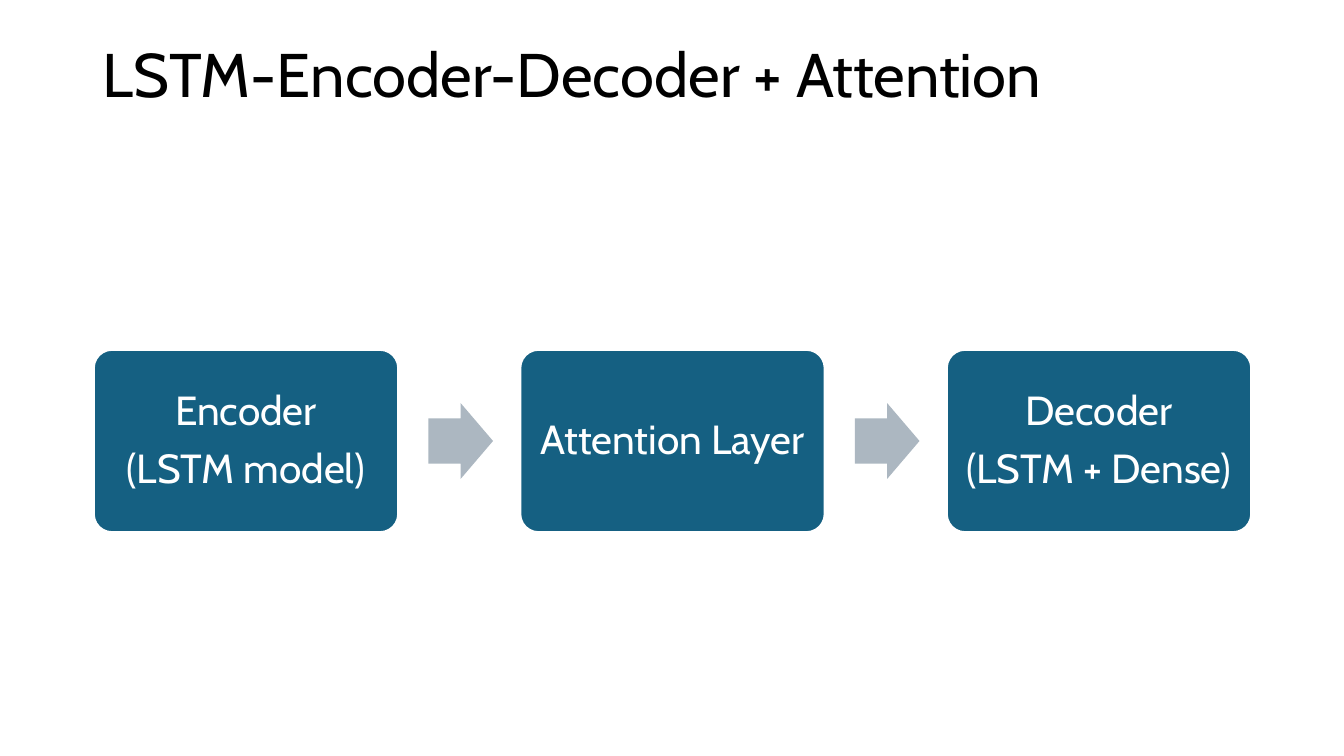
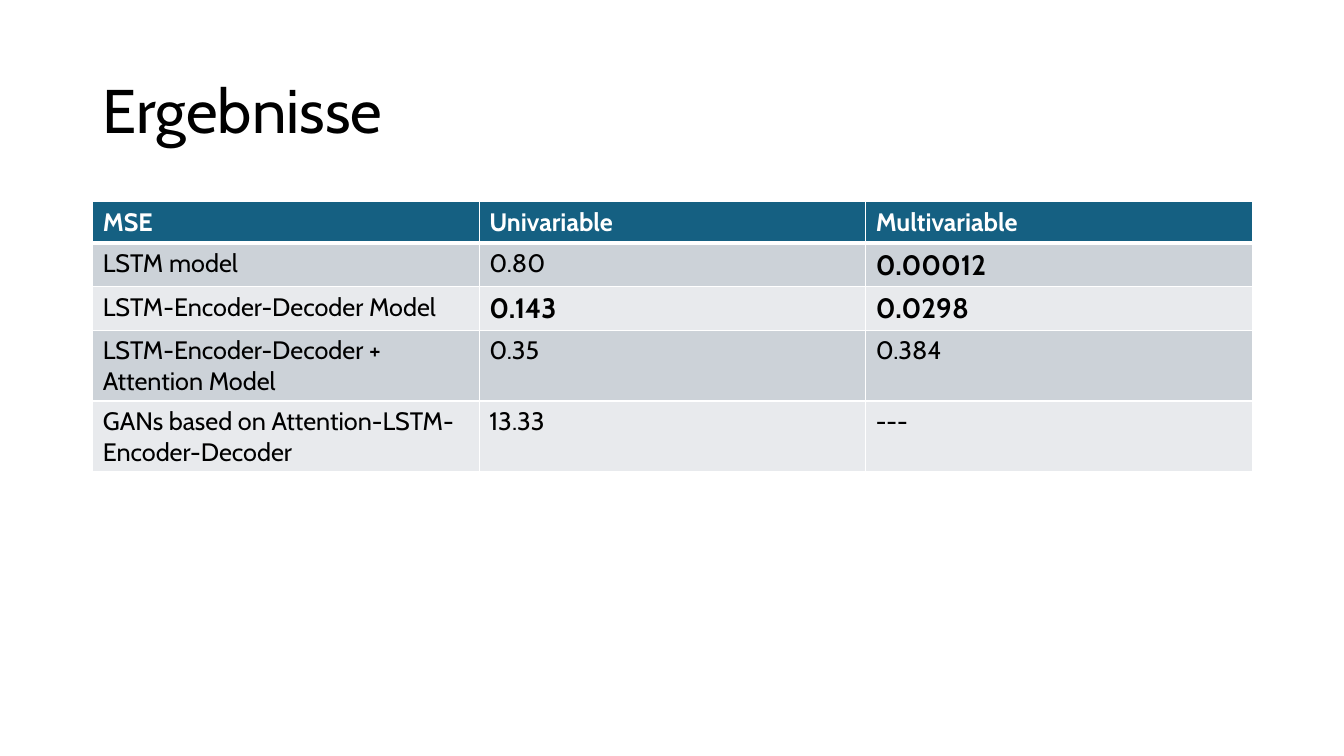
from lxml import etree
from pptx import Presentation
from pptx.dml.color import RGBColor
from pptx.enum.shapes import MSO_SHAPE as Shape
from pptx.enum.text import MSO_ANCHOR as Anchor, PP_ALIGN as Align
from pptx.oxml.ns import qn
from pptx.util import Inches, Pt

FONT = "Cabin"
BLACK = RGBColor(0x00, 0x00, 0x00)
WHITE = RGBColor(0xFF, 0xFF, 0xFF)
TEAL = RGBColor(0x15, 0x60, 0x82)
ARROW_GREY = RGBColor(0xAC, 0xB7, 0xC1)
BAND_DARK = RGBColor(0xCC, 0xD2, 0xD8)
BAND_LIGHT = RGBColor(0xE8, 0xEA, 0xED)

deck = Presentation()
deck.slide_width, deck.slide_height = Inches(13.33), Inches(7.5)


def add_page(title, top):
    page = deck.slides.add_slide(deck.slide_layouts[6])
    box = page.shapes.add_textbox(Inches(0.92), Inches(top), Inches(11.5), Inches(1.45))
    frame = box.text_frame
    frame.word_wrap = True
    frame.vertical_anchor = Anchor.MIDDLE
    para = frame.paragraphs[0]
    para.text = title
    para.line_spacing = 0.9
    style(para, 44, BLACK)
    return page


def style(para, size, color, bold=False):
    font = para.font
    font.name, font.size, font.bold = FONT, Pt(size), bold
    font.color.rgb = color


# Slide 1: model pipeline
page = add_page("LSTM-Encoder-Decoder + Attention", 0.04)
stages = [
    ["Encoder", "(LSTM model)"],
    ["Attention Layer"],
    ["Decoder", "(LSTM + Dense)"],
]
STAGE_LEFT, STAGE_STEP = 0.93, 4.23

for index, lines in enumerate(stages):
    left = STAGE_LEFT + index * STAGE_STEP
    stage = page.shapes.add_shape(
        Shape.ROUNDED_RECTANGLE, Inches(left), Inches(3.47), Inches(3.02), Inches(1.81))
    stage.shadow.inherit = False
    stage.adjustments[0] = 0.1
    stage.fill.solid()
    stage.fill.fore_color.rgb = TEAL
    stage.line.color.rgb = WHITE
    stage.line.width = Pt(1.5)

    frame = stage.text_frame
    frame.word_wrap = True
    frame.vertical_anchor = Anchor.MIDDLE
    frame.margin_left = frame.margin_right = Inches(0.1)
    frame.text = "\n".join(lines)
    for para in frame.paragraphs:
        para.alignment = Align.CENTER
        para.line_spacing = 0.9
        para.space_after = Pt(10)
        style(para, 29, WHITE)

    # Arrow to the next stage
    if index < len(stages) - 1:
        arrow = page.shapes.add_shape(
            Shape.RIGHT_ARROW, Inches(left + 3.32), Inches(4), Inches(0.64), Inches(0.75))
        arrow.shadow.inherit = False
        arrow.adjustments[0] = 0.6
        arrow.fill.solid()
        arrow.fill.fore_color.rgb = ARROW_GREY
        arrow.line.fill.background()

# Slide 2: results table
page = add_page("Ergebnisse", 0.4)
results = [
    ["MSE", "Univariable", "Multivariable"],
    ["LSTM model", "0.80", "0.00012"],
    ["LSTM-Encoder-Decoder Model", "0.143", "0.0298"],
    ["LSTM-Encoder-Decoder + Attention Model", "0.35", "0.384"],
    ["GANs based on Attention-LSTM-Encoder-Decoder", "13.33", "---"],
]
best_values = {"0.00012", "0.143", "0.0298"}
ROW_HEIGHT = 0.41

table = page.shapes.add_table(
    len(results), len(results[0]), Inches(0.92), Inches(2),
    Inches(11.5), Inches(ROW_HEIGHT * len(results))).table

for row, values in enumerate(results):
    header = row == 0
    for column, value in enumerate(values):
        cell = table.cell(row, column)
        best = value in best_values

        # Borders, thicker below the header
        properties = cell._tc.get_or_add_tcPr()
        widths = {"L": 1, "R": 1, "T": 3 if row == 1 else 1, "B": 3 if header else 1}
        for side, width in widths.items():
            border = etree.SubElement(properties, qn(f"a:ln{side}"), w=str(Pt(width)))
            fill = etree.SubElement(border, qn("a:solidFill"))
            etree.SubElement(fill, qn("a:srgbClr"), val=str(WHITE))

        cell.fill.solid()
        cell.fill.fore_color.rgb = TEAL if header else BAND_DARK if row % 2 else BAND_LIGHT
        cell.text = value
        style(cell.text_frame.paragraphs[0], 20 if best else 18,
              WHITE if header else BLACK, header or best)

deck.save("out.pptx")
